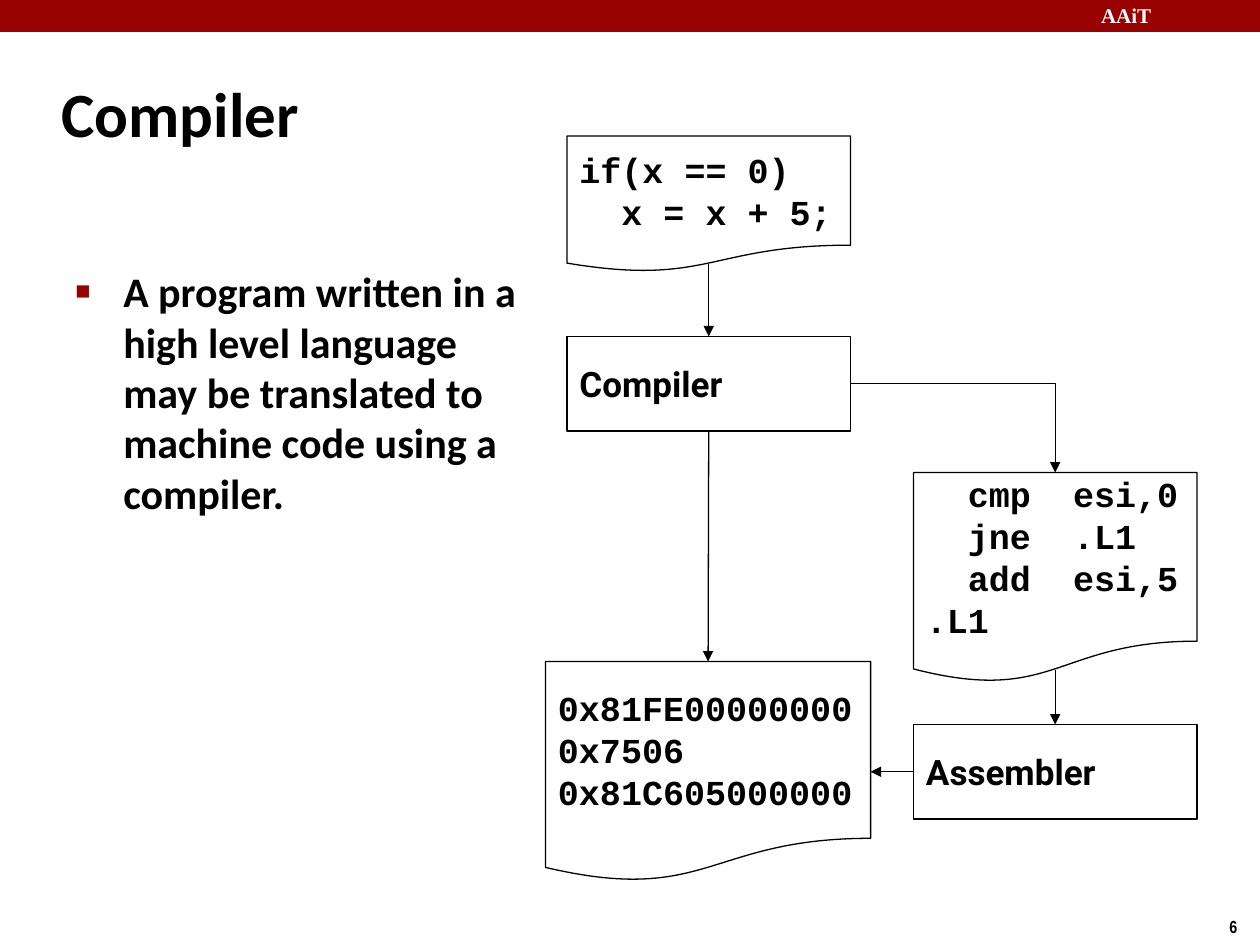
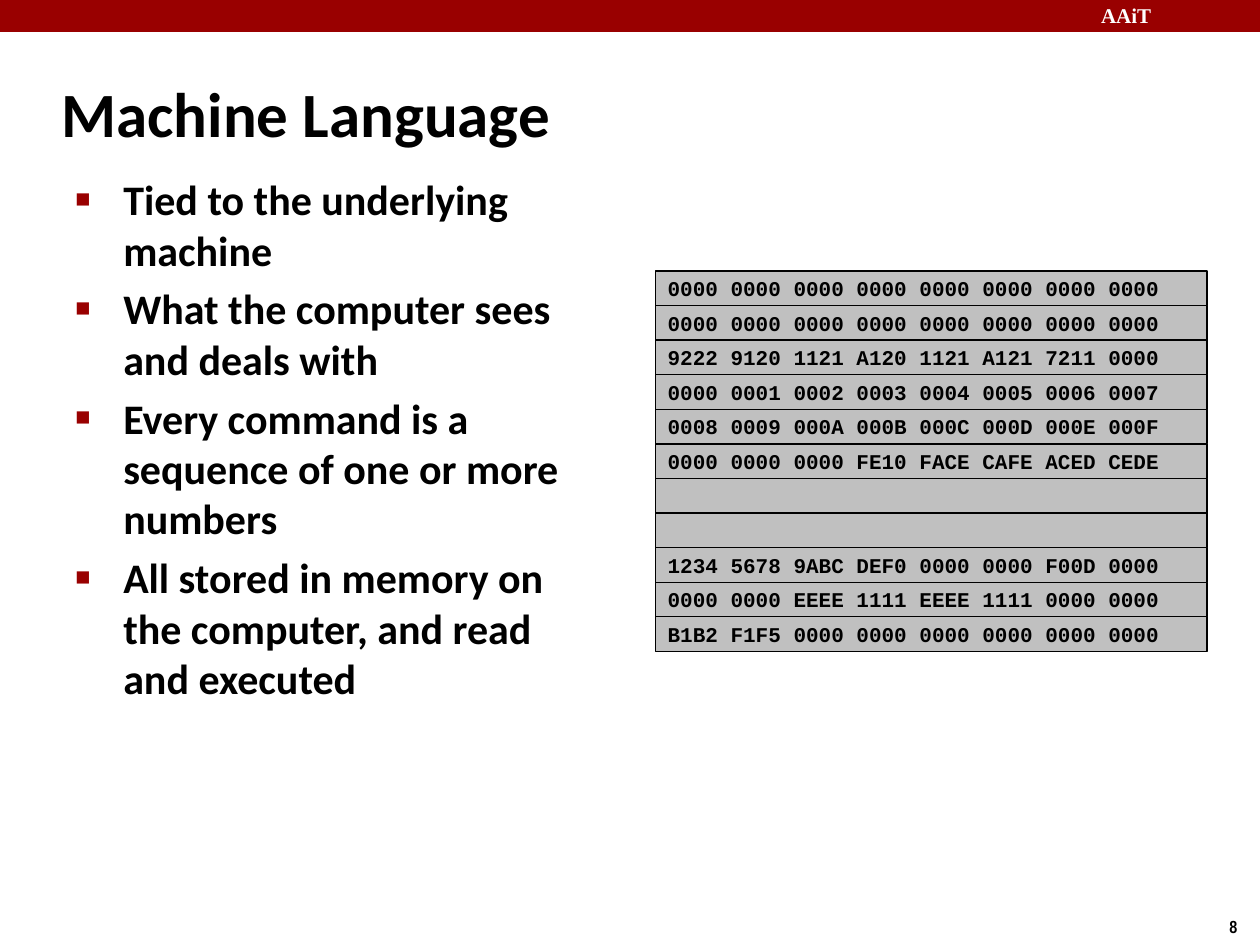
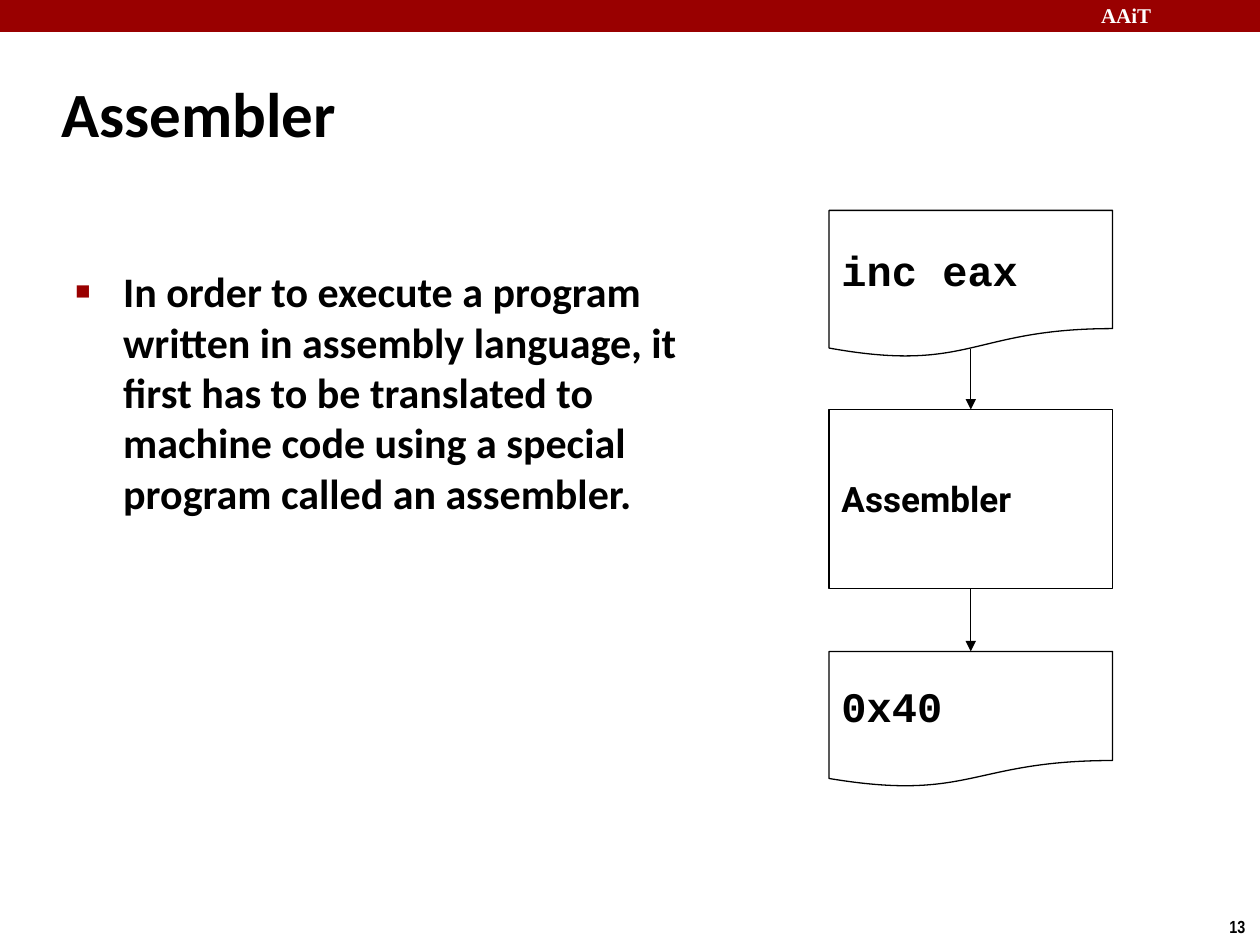
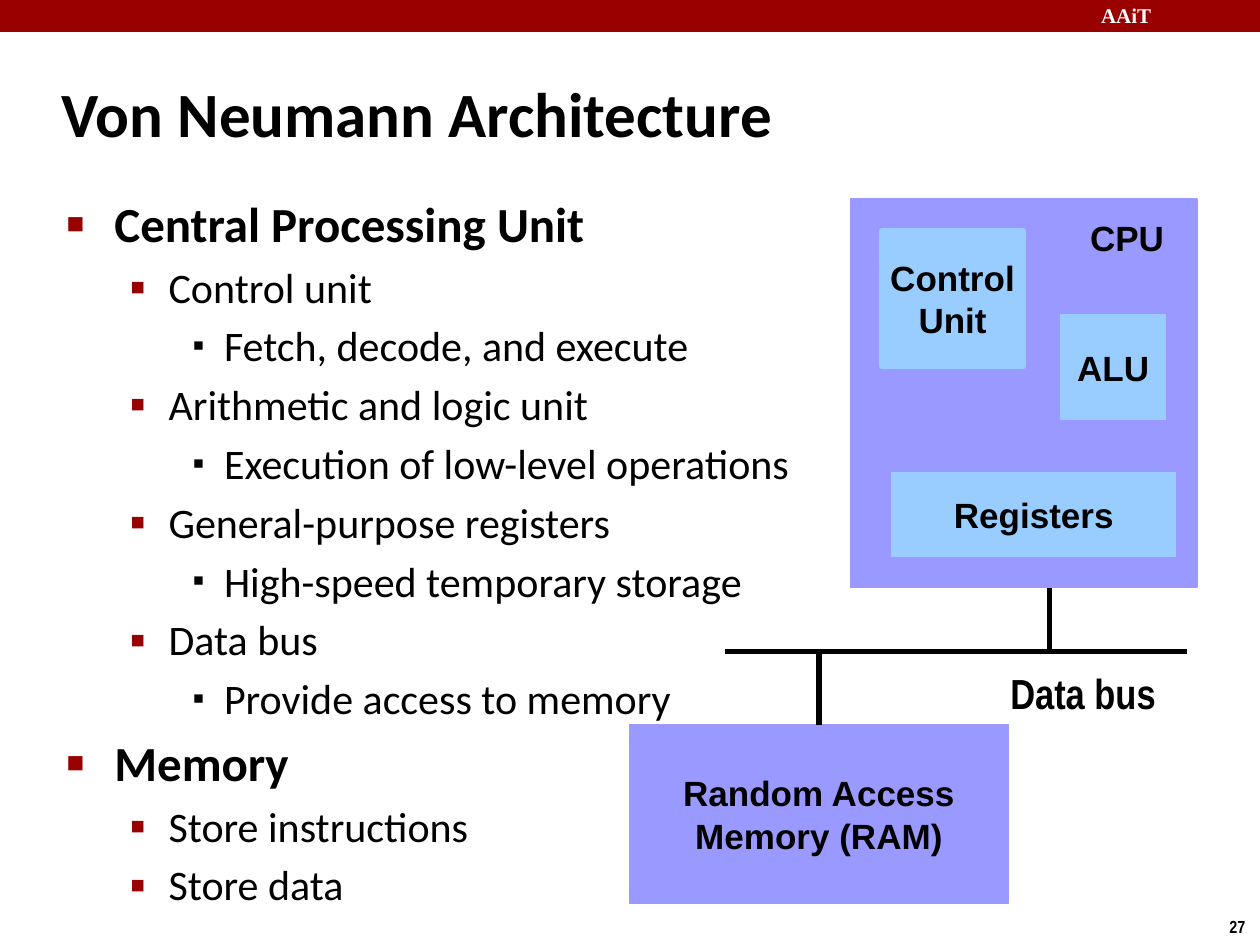
from dataclasses import dataclass

from lxml import etree
from pptx import Presentation
from pptx.dml.color import RGBColor
from pptx.enum.shapes import MSO_CONNECTOR, MSO_SHAPE
from pptx.enum.text import MSO_ANCHOR, MSO_AUTO_SIZE, PP_ALIGN
from pptx.oxml.ns import qn
from pptx.shapes.autoshape import Shape
from pptx.shapes.connector import Connector
from pptx.slide import Slide
from pptx.text.text import TextFrame
from pptx.util import Inches, Pt

RECT = MSO_SHAPE.RECTANGLE
PROCESS = MSO_SHAPE.FLOWCHART_PROCESS
DOC = MSO_SHAPE.FLOWCHART_DOCUMENT
STRAIGHT, ELBOW = MSO_CONNECTOR.STRAIGHT, MSO_CONNECTOR.ELBOW
MIDDLE = MSO_ANCHOR.MIDDLE
LEFT, CENTER = PP_ALIGN.LEFT, PP_ALIGN.CENTER
GROW = MSO_AUTO_SIZE.SHAPE_TO_FIT_TEXT
TOP, WEST, BOTTOM, EAST = range(4)

BLACK, WHITE, RED = "000000", "FFFFFF", "990000"
GRAY, VIOLET, BLUE = "C0C0C0", "9999FF", "99CCFF"
WAVE = 0.94  # share of a document's height where its wavy edge crosses the middle

Area = tuple[float, float, float, float]
Point = tuple[float, float]
Port = tuple[Shape, int]


@dataclass(frozen=True)
class Type:
    size: int
    face: str
    bold: bool = True
    color: str = BLACK
    align: PP_ALIGN = LEFT


@dataclass(frozen=True)
class Level:
    type: Type
    margin: float
    hang: float
    mark: str
    scale: int
    color: str = ""


@dataclass(frozen=True)
class Box:
    area: Area
    text: str = ""
    type: Type | None = None
    kind: MSO_SHAPE = RECT
    fill: str = WHITE
    edge: str = BLACK
    width: float = 0.75


TITLE = Type(36, "Calibri")
BRAND = Type(12, "Times New Roman", color=WHITE)
PAGE = Type(10, "Arial Narrow")
TOOL = Type(20, "Roboto")
CODE = Type(20, "Courier New")
LARGE = Type(24, "Courier New")
BYTES = Type(12, "Courier New")
PART = Type(20, "Arial", align=CENTER)
BUS = Type(24, "Arial Narrow")

POINT = Level(Type(24, "Calibri"), 0.38, 0.38, "■", 60, RED)
LEVELS = [
    Level(Type(28, "Calibri"), 0.38, 0.38, "■", 60, RED),
    Level(Type(24, "Calibri", False), 0.81, 0.31, "▪", 110, RED),
    Level(Type(24, "Calibri", False), 1.25, 0.25, "▪", 80),
]

MEMORY = [
    "0000 0000 0000 0000 0000 0000 0000 0000",
    "0000 0000 0000 0000 0000 0000 0000 0000",
    "9222 9120 1121 A120 1121 A121 7211 0000",
    "0000 0001 0002 0003 0004 0005 0006 0007",
    "0008 0009 000A 000B 000C 000D 000E 000F",
    "0000 0000 0000 FE10 FACE CAFE ACED CEDE",
    "",
    "",
    "1234 5678 9ABC DEF0 0000 0000 F00D 0000",
    "0000 0000 EEEE 1111 EEEE 1111 0000 0000",
    "B1B2 F1F5 0000 0000 0000 0000 0000 0000",
]

OUTLINE = [
    (0, "Central Processing Unit"),
    (1, "Control unit"),
    (2, "Fetch, decode, and execute"),
    (1, "Arithmetic and logic unit"),
    (2, "Execution of low-level operations"),
    (1, "General-purpose registers"),
    (2, "High-speed temporary storage"),
    (1, "Data bus"),
    (2, "Provide access to memory"),
    (0, "Memory"),
    (1, "Store instructions"),
    (1, "Store data"),
]


def rgb(color: str) -> RGBColor:
    return RGBColor.from_string(color)


def style(par, kind: Type) -> None:
    par.alignment = kind.align
    font = par.font
    font.size, font.name, font.bold = Pt(kind.size), kind.face, kind.bold
    font.color.rgb = rgb(kind.color)


def write(frame: TextFrame, text: str, kind: Type) -> None:
    """Put each line of the text in its own paragraph."""
    for num, line in enumerate(text.split("\n")):
        par = frame.add_paragraph() if num else frame.paragraphs[0]
        par.text = line
        style(par, kind)


def add_text(slide: Slide, area: Area, text: str, kind: Type,
             wrap: bool = True, grow: bool = True) -> TextFrame:
    frame = slide.shapes.add_textbox(*map(Inches, area)).text_frame
    frame.word_wrap = wrap
    if grow:
        frame.auto_size = GROW
    write(frame, text, kind)
    return frame


def indent(par, margin: float, hang: float) -> None:
    props = par._p.get_or_add_pPr()
    props.set("marL", str(Inches(margin)))
    props.set("indent", str(-Inches(hang)))


def add_mark(par, level: Level) -> None:
    """Give the paragraph its bullet; call this before its font is set."""
    props = par._p.get_or_add_pPr()
    if level.color:
        tint = etree.SubElement(props, qn("a:buClr"))
        etree.SubElement(tint, qn("a:srgbClr"), val=level.color)
    etree.SubElement(props, qn("a:buSzPct"), val=str(level.scale * 1000))
    etree.SubElement(props, qn("a:buFont"), typeface="Arial")
    etree.SubElement(props, qn("a:buChar"), char=level.mark)


def add_list(slide: Slide, area: Area, items: list[tuple[Level, str]]) -> None:
    frame = slide.shapes.add_textbox(*map(Inches, area)).text_frame
    frame.word_wrap = True
    for num, (level, text) in enumerate(items):
        par = frame.add_paragraph() if num else frame.paragraphs[0]
        par.text = text
        par.space_before = Pt(level.type.size * 0.2)
        indent(par, level.margin, level.hang)
        add_mark(par, level)
        style(par, level.type)


def add_box(slide: Slide, box: Box) -> Shape:
    shape = slide.shapes.add_shape(box.kind, *map(Inches, box.area))
    shape.shadow.inherit = False
    shape.fill.solid()
    shape.fill.fore_color.rgb = rgb(box.fill)
    shape.line.color.rgb = rgb(box.edge)
    shape.line.width = Pt(box.width)
    if box.text:
        frame = shape.text_frame
        frame.word_wrap = False
        frame.vertical_anchor = MIDDLE
        write(frame, box.text, box.type)
    return shape


def add_line(slide: Slide, start: Point | Port, end: Point | Port,
             width: float = 0.75, head: bool = False, bent: bool = False) -> Connector:
    """Draw a line; each end is a point in inches or a shape with its side."""
    line = slide.shapes.add_connector(ELBOW if bent else STRAIGHT, 0, 0, 0, 0)
    if isinstance(start[0], Shape):
        line.begin_connect(*start)
    else:
        line.begin_x, line.begin_y = map(Inches, start)
    if isinstance(end[0], Shape):
        line.end_connect(*end)
    else:
        line.end_x, line.end_y = map(Inches, end)
    line.line.color.rgb = rgb(BLACK)
    line.line.width = Pt(width)
    props = line._element.spPr
    if bent:
        props.find(qn("a:prstGeom")).set("prst", "bentConnector2")
    if head:
        etree.SubElement(props.find(qn("a:ln")), qn("a:tailEnd"), type="triangle")
    etree.SubElement(props, qn("a:effectLst"))
    return line


def wave(box: Box) -> Point:
    """Middle of a document's wavy lower edge."""
    left, top, width, height = box.area
    return left + width / 2, top + height * WAVE


def add_page(deck, title: str, page: int) -> Slide:
    slide = deck.slides.add_slide(deck.slide_layouts[6])
    add_box(slide, Box((0, 0, 10, 0.25), fill=RED, edge=RED))
    add_text(slide, (8.64, -0.03, 1.43, 0.3), "AAiT", BRAND)
    add_text(slide, (9.66, 7.22, 0.34, 0.27), str(page), PAGE, wrap=False)
    frame = add_text(slide, (0.39, 0.48, 8.3, 0.83), title, TITLE, grow=False)
    frame.vertical_anchor = MIDDLE
    indent(frame.paragraphs[0], 0.13, 0.13)
    return slide


def add_compiler(deck) -> None:
    slide = add_page(deck, "Compiler", 6)
    add_list(slide, (0.5, 2.06, 3.75, 4.56), [(
        POINT, "A program written in a high level language may be "
        "translated to machine code using a compiler.")])
    source = Box((4.5, 1.08, 2.25, 1.08), "if(x == 0)\n  x = x + 5;", CODE, DOC)
    listing = Box((7.25, 3.75, 2.25, 1.67),
                  "  cmp  esi,0\n  jne  .L1\n  add  esi,5\n.L1", CODE, DOC)
    binary = Box((4.33, 5.25, 2.58, 1.75),
                 "0x81FE00000000\n0x7506\n0x81C605000000", CODE, DOC)
    add_box(slide, source)
    asm = add_box(slide, listing)
    code = add_box(slide, binary)
    comp = add_box(slide, Box((4.5, 2.67, 2.25, 0.75), "Compiler", TOOL, PROCESS))
    tool = add_box(slide, Box((7.25, 5.75, 2.25, 0.75), "Assembler", TOOL, PROCESS))
    add_line(slide, wave(source), (comp, TOP), head=True)
    add_line(slide, wave(listing), (tool, TOP), head=True)
    add_line(slide, (comp, BOTTOM), (code, TOP), head=True)
    add_line(slide, (tool, WEST), (code, EAST), head=True)
    add_line(slide, (comp, EAST), (asm, TOP), head=True, bent=True)


def add_machine(deck) -> None:
    slide = add_page(deck, "Machine Language", 8)
    add_list(slide, (0.5, 1.33, 4.08, 6), [(POINT, text) for text in (
        "Tied to the underlying machine",
        "What the computer sees and deals with",
        "Every command is a sequence of one or more numbers",
        "All stored in memory on the computer, and read and executed",
    )])
    pitch = 3.02 / len(MEMORY)
    for num, row in enumerate(MEMORY):
        area = (5.2, 2.15 + num * pitch, 4.38, pitch)
        add_box(slide, Box(area, row, BYTES, fill=GRAY))


def add_assembler(deck) -> None:
    slide = add_page(deck, "Assembler", 13)
    add_list(slide, (0.5, 2.06, 5.5, 4.56), [(
        POINT, "In order to execute a program written in assembly language, "
        "it first has to be translated to machine code using a special "
        "program called an assembler.")])
    source = Box((6.58, 1.67, 2.25, 1.17), "inc eax", LARGE, DOC)
    add_box(slide, source)
    tool = add_box(slide, Box((6.58, 3.25, 2.25, 1.42), "Assembler", TOOL, PROCESS))
    code = add_box(slide, Box((6.58, 5.17, 2.25, 1.08), "0x40", LARGE, DOC))
    add_line(slide, wave(source), (tool, TOP), head=True)
    add_line(slide, (tool, BOTTOM), (code, TOP), head=True)


def add_neumann(deck) -> None:
    slide = add_page(deck, "Von Neumann Architecture", 27)
    add_list(slide, (0.43, 1.49, 8.64, 5.44),
             [(LEVELS[depth], text) for depth, text in OUTLINE])
    ram = add_box(slide, Box((5, 5.75, 3, 1.42), "Random Access\nMemory (RAM)",
                             PART, fill=VIOLET, edge=VIOLET))
    add_box(slide, Box((6.75, 1.58, 2.75, 3.08), fill=VIOLET, edge=VIOLET))
    for area, text, width in (
        ((7, 1.83, 1.12, 1.08), "Control\nUnit", 3),
        ((8.42, 2.5, 0.83, 0.83), "ALU", 0.75),
        ((7.08, 3.75, 2.25, 0.67), "Registers", 0.75),
    ):
        add_box(slide, Box(area, text, PART, fill=BLUE, edge=BLUE, width=width))
    add_text(slide, (8.5, 1.67, 0.89, 0.43), "CPU", PART)
    level = 5.17
    add_line(slide, (5.75, level), (9.42, level), 3)
    add_line(slide, (ram, TOP), (6.5, level), 3)
    add_line(slide, (8.33, level), (8.33, 4.67), 3)
    add_text(slide, (7.92, 5.25, 1.38, 0.5), "Data bus", BUS, wrap=False)


def main() -> None:
    deck = Presentation()
    deck.slide_width, deck.slide_height = Inches(10), Inches(7.5)
    add_compiler(deck)
    add_machine(deck)
    add_assembler(deck)
    add_neumann(deck)
    deck.save("out.pptx")


if __name__ == "__main__":
    main()
